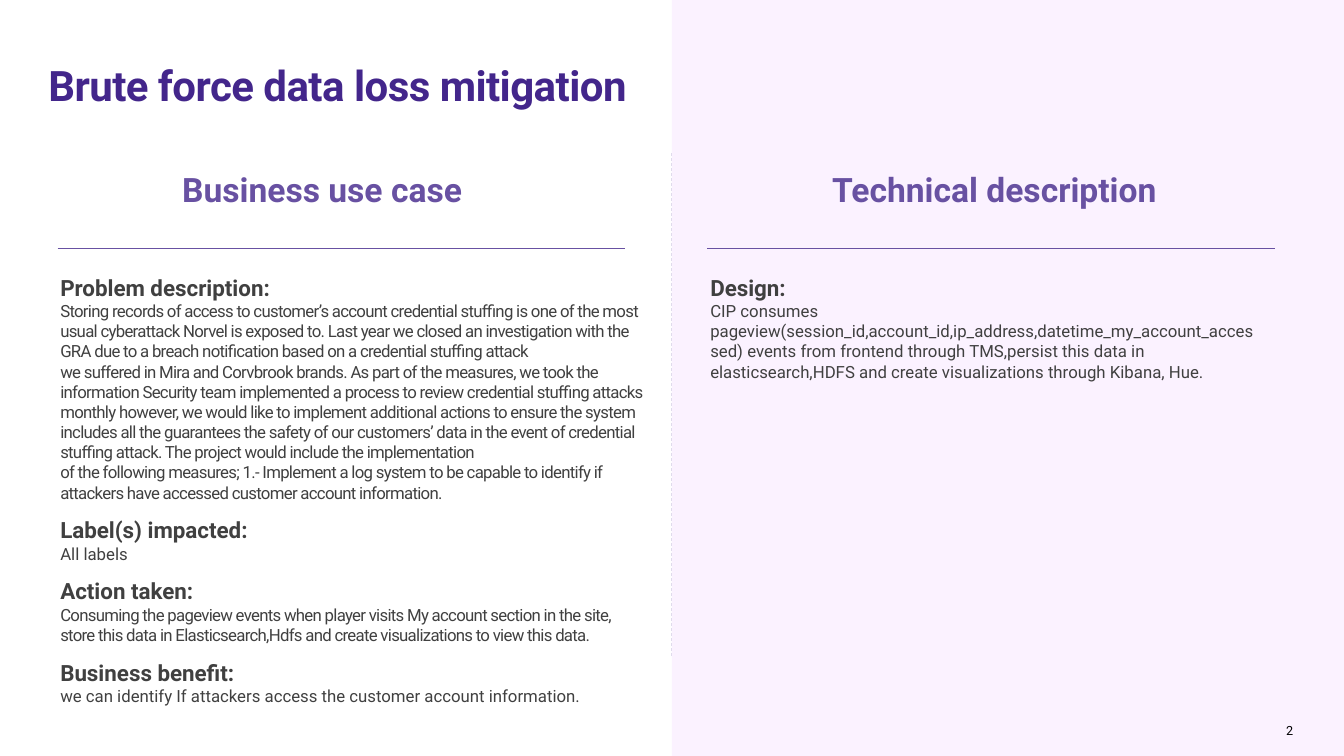
from lxml import etree
from pptx import Presentation
from pptx.dml.color import RGBColor
from pptx.enum.dml import MSO_LINE
from pptx.enum.shapes import MSO_CONNECTOR, MSO_SHAPE
from pptx.enum.text import MSO_ANCHOR, PP_ALIGN
from pptx.oxml.ns import qn
from pptx.util import Cm, Pt

FONT = "Roboto"
DEEP_PURPLE = RGBColor(0x43, 0x26, 0x8B)
PURPLE = RGBColor(0x68, 0x51, 0xA2)
PALE_PURPLE = RGBColor(0xE0, 0xDB, 0xED)
VIOLET = RGBColor(0xBF, 0x00, 0xFF)
GREY = RGBColor(0x40, 0x40, 0x40)
BLACK = RGBColor(0x00, 0x00, 0x00)

RECTANGLE = MSO_SHAPE.RECTANGLE
STRAIGHT = MSO_CONNECTOR.STRAIGHT
DASH = MSO_LINE.DASH
BOTTOM = MSO_ANCHOR.BOTTOM
LEFT, RIGHT = PP_ALIGN.LEFT, PP_ALIGN.RIGHT

SLIDE_WIDTH, SLIDE_HEIGHT = 33.87, 19.05
MIDDLE = 16.93
COLUMN_STEP = 16.38
TIGHT = -50  # hundredths of a point

# Each section: heading, body lines, letter spacing, space after in points
BUSINESS_SECTIONS = [
    ("Problem description:", [
        "Storing records of access to customer’s account credential stuffing is "
        "one of the most usual cyberattack Norvel is exposed to. Last year we "
        "closed an investigation with the GRA due to a breach notification based "
        "on a credential stuffing attack",
        "we suffered in Mira and Corvbrook brands. As part of the measures, we "
        "took the information Security team implemented a process to review "
        "credential stuffing attacks monthly however, we would like to implement "
        "additional actions to ensure the system includes all the guarantees the "
        "safety of our customers’ data in the event of credential stuffing "
        "attack. The project would include the implementation",
        "of the following measures; 1.- Implement a log system to be capable to "
        "identify if attackers have accessed customer account information.",
    ], TIGHT, 10),
    ("Label(s) impacted:", ["All labels"], 0, 10),
    ("Action taken:", [
        "Consuming the pageview events when player visits My account section in "
        "the site, store this data in Elasticsearch,Hdfs and create "
        "visualizations to view this data.",
    ], TIGHT, 10),
    ("Business benefit:", [
        "we can identify If attackers access the customer account information.",
    ], 0, 6),
]
TECHNICAL_SECTIONS = [
    ("Design:", [
        "CIP consumes pageview(session_id,account_id,ip_address,"
        "datetime_my_account_accessed) events from frontend through TMS,persist "
        "this data in elasticsearch,HDFS and create visualizations through "
        "Kibana, Hue.",
    ], 0, 10),
]
# Each column: title, sections, body width, body height
COLUMNS = [
    ("Business use case", BUSINESS_SECTIONS, 15.21, 11.25),
    ("Technical description", TECHNICAL_SECTIONS, 14.3, 3),
]

prs = Presentation()
prs.slide_width, prs.slide_height = Cm(SLIDE_WIDTH), Cm(SLIDE_HEIGHT)
slide = prs.slides.add_slide(prs.slide_layouts[6])


def write(text, box, frame=None, size=12, color=GREY, bold=False, spacing=0,
          after=0, align=LEFT, inset=True, anchor=None):
    """Add a paragraph to frame, or to a new text box at box (in cm)."""
    if frame is None:
        frame = slide.shapes.add_textbox(*map(Cm, box)).text_frame
        frame.word_wrap = True
        frame.vertical_anchor = anchor
        if not inset:
            frame.margin_left = frame.margin_right = 0
            frame.margin_top = frame.margin_bottom = 0
        paragraph = frame.paragraphs[0]
    else:
        paragraph = frame.add_paragraph()
    paragraph.alignment = align
    paragraph.space_after = Pt(after)
    run = paragraph.add_run()
    run.text = text
    run.font.name, run.font.size, run.font.bold = FONT, Pt(size), bold
    run.font.color.rgb = color
    if spacing:
        run.font._element.set("spc", str(spacing))
    return frame


def add_line(x1, y1, x2, y2, color, dash=None):
    line = slide.shapes.add_connector(STRAIGHT, Cm(x1), Cm(y1), Cm(x2), Cm(y2))
    line.line.color.rgb = color
    line.line.width = Pt(0.5)
    if dash:
        line.line.dash_style = dash
    etree.SubElement(line._element.spPr, qn("a:effectLst"))


# Tinted right half
panel = slide.shapes.add_shape(RECTANGLE, Cm(MIDDLE), 0,
                               Cm(SLIDE_WIDTH - MIDDLE), Cm(SLIDE_HEIGHT))
panel.shadow.inherit = False
panel.line.fill.background()
panel.fill.solid()
panel.fill.fore_color.rgb = VIOLET
tint = panel._element.spPr.find(qn("a:solidFill")).find(qn("a:srgbClr"))
etree.SubElement(tint, qn("a:alpha"), val="5000")

add_line(MIDDLE, 3.86, MIDDLE, 16.56, PALE_PURPLE, dash=DASH)

# Two columns of headings, rules and sections
for index, (title, sections, width, height) in enumerate(COLUMNS):
    shift = index * COLUMN_STEP
    write(title, (4.34 + shift, 4.14, 12.37, 1.27), size=24, color=PURPLE, bold=True)
    add_line(1.45 + shift, 6.25, 15.75 + shift, 6.25, PURPLE)
    body_box = (1.27 + shift, 6.78, width, height)
    body = None
    for heading, lines, spacing, after in sections:
        body = write(heading, body_box, body, size=16, bold=True)
        for line in lines:
            write(line, body_box, body, spacing=spacing,
                  after=after if line == lines[-1] else 0)

write("Brute force data loss mitigation", (1.22, 0.99, 29.21, 1.78), size=30,
      color=DEEP_PURPLE, bold=True, spacing=-40, inset=False, anchor=BOTTOM)
write("2", (31.6, 18.21, 0.99, 0.51), size=9, color=BLACK, align=RIGHT, inset=False)

prs.save("out.pptx")
